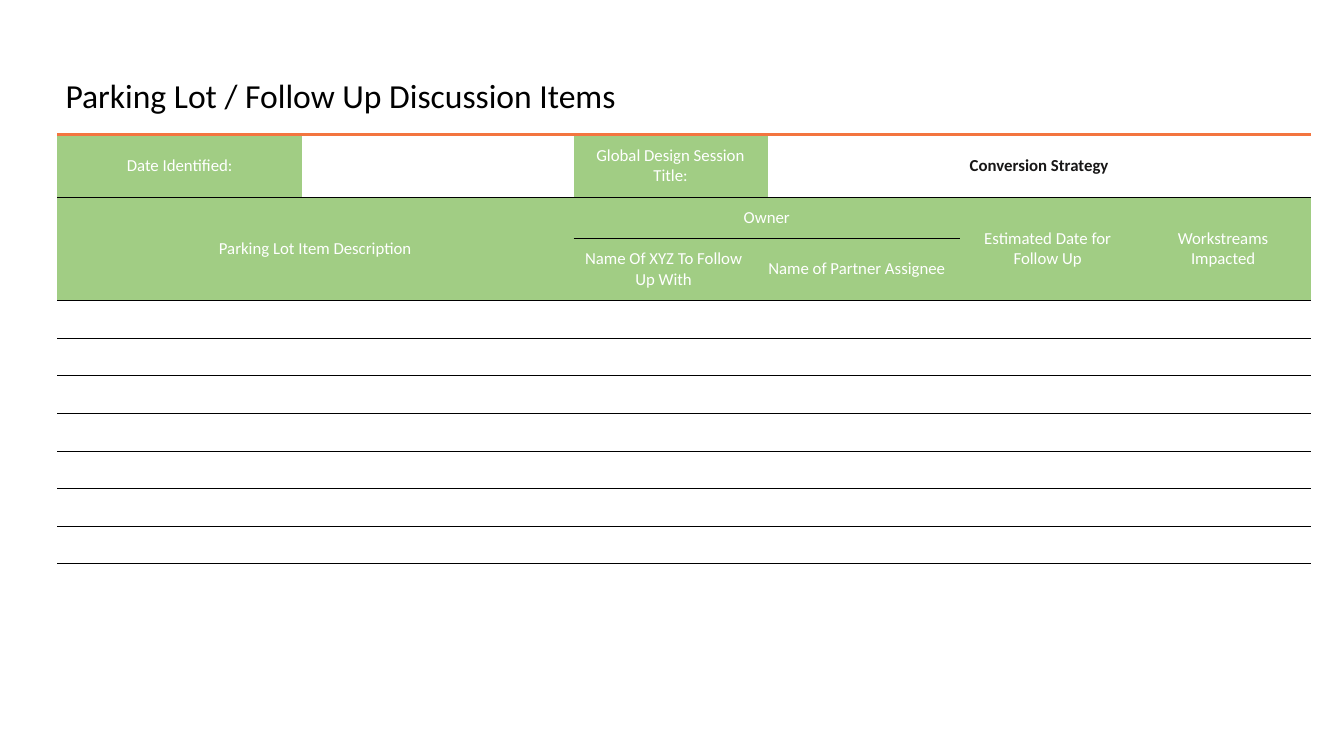
"""Build the parking lot slide with its follow-up table."""
import pptx
import pptx.dml.color
import pptx.enum.text
import pptx.oxml.ns
import pptx.util
import lxml.etree

Pt = pptx.util.Pt
WHITE = pptx.dml.color.RGBColor(0xFF, 0xFF, 0xFF)
BLACK = pptx.dml.color.RGBColor(0x00, 0x00, 0x00)
INK = pptx.dml.color.RGBColor(0x18, 0x17, 0x17)
GREEN = pptx.dml.color.RGBColor(0xA1, 0xCD, 0x84)
ORANGE = pptx.dml.color.RGBColor(0xF3, 0x75, 0x3F)

FONT = "Calibri"
TITLE = "Parking Lot / Follow Up Discussion Items"
NO_STYLE = "{2D5ABB26-0587-4C30-8999-92F81FD0307C}"
COLUMNS = [175.2, 193.7, 128.7, 9.9, 137.5, 125.3, 125.3]
HEADER_ROWS = [44.5, 29.6, 44.5]
ITEM_ROWS = 7
ITEM_HEIGHT = 26.85
LABELS = [
    (0, 0, 1, 1, "Date Identified:"),
    (0, 2, 1, 2, "Global Design Session Title:"),
    (0, 4, 1, 3, "Conversion Strategy"),
    (1, 0, 2, 2, "Parking Lot Item Description"),
    (1, 2, 1, 3, "Owner"),
    (1, 5, 2, 1, "Estimated Date for Follow Up"),
    (1, 6, 2, 1, "Workstreams Impacted"),
    (2, 2, 1, 1, "Name Of XYZ To Follow Up With"),
    (2, 3, 1, 2, "Name of Partner Assignee"),
]
VALUES = {"Conversion Strategy"}


def style_text(paragraph, size, color, bold=False):
    """Set the font of one paragraph."""
    paragraph.font.name = FONT
    paragraph.font.size = Pt(size)
    paragraph.font.bold = bold
    paragraph.font.color.rgb = color


def set_margins(box, margin):
    """Give a cell or text frame equal margins."""
    box.margin_left = box.margin_right = Pt(margin)
    box.margin_top = box.margin_bottom = Pt(margin)


def add_border(cell, position, side, color, width):
    """Draw one horizontal border of a cell."""
    qn = pptx.oxml.ns.qn
    properties = cell._tc.get_or_add_tcPr()
    line = lxml.etree.Element(qn("a:" + side), w=str(Pt(width)))
    fill = lxml.etree.SubElement(line, qn("a:solidFill"))
    lxml.etree.SubElement(fill, qn("a:srgbClr"), val=str(color))
    properties.insert(position, line)


def add_title(page):
    """Place the slide title."""
    frame = page.shapes.add_textbox(Pt(46.8), Pt(56.9), Pt(886.3), Pt(54.7)).text_frame
    frame.word_wrap = True
    set_margins(frame, 0)
    paragraph = frame.paragraphs[0]
    paragraph.text = TITLE
    paragraph.line_spacing = 0.9
    style_text(paragraph, 24, BLACK)


def add_label(table, row, column, height, width, text):
    """Merge and fill one labelled cell."""
    cell = table.cell(row, column)
    if height * width > 1:
        cell.merge(table.cell(row + height - 1, column + width - 1))
    is_value = text in VALUES
    cell.vertical_anchor = pptx.enum.text.MSO_ANCHOR.MIDDLE
    set_margins(cell, 7.2)
    paragraph = cell.text_frame.paragraphs[0]
    paragraph.text = text
    paragraph.alignment = pptx.enum.text.PP_ALIGN.CENTER
    paragraph.space_before = Pt(4)
    style_text(paragraph, 12, INK if is_value else WHITE, is_value)
    if not is_value:
        cell.fill.solid()
        cell.fill.fore_color.rgb = GREEN


def add_follow_up_table(page):
    """Place the table of parking lot items."""
    heights = HEADER_ROWS + [ITEM_HEIGHT] * ITEM_ROWS
    frame = page.shapes.add_table(len(heights), len(COLUMNS), Pt(40.8), Pt(96),
                                  Pt(sum(COLUMNS)), Pt(sum(heights)))
    table = frame.table
    table.first_row = table.horz_banding = False
    table._tbl.tblPr.find(pptx.oxml.ns.qn("a:tableStyleId")).text = NO_STYLE
    for column, width in zip(table.columns, COLUMNS):
        column.width = Pt(width)
    for row, height in zip(table.rows, heights):
        row.height = Pt(height)
    for cell in table.iter_cells():
        set_margins(cell, 0)
        cell.fill.background()
        style_text(cell.text_frame.paragraphs[0], 12, INK)
    for label in LABELS:
        add_label(table, *label)
    for row in range(len(HEADER_ROWS), len(heights)):
        for first, last in [(0, 1), (3, 4)]:
            table.cell(row, first).merge(table.cell(row, last))
    for index, row in enumerate(table.rows):
        color, width = (BLACK, 0.25) if index else (ORANGE, 3)
        for cell in row.cells:
            if not cell.is_spanned:
                add_border(cell, 0, "lnT", color, width)
                add_border(cell, 1, "lnB", BLACK, 0.25)


def main():
    """Build and save the deck."""
    deck = pptx.Presentation()
    deck.slide_width, deck.slide_height = Pt(960), Pt(540)
    page = deck.slides.add_slide(deck.slide_layouts[6])
    add_title(page)
    add_follow_up_table(page)
    deck.save("out.pptx")


if __name__ == "__main__":
    main()
